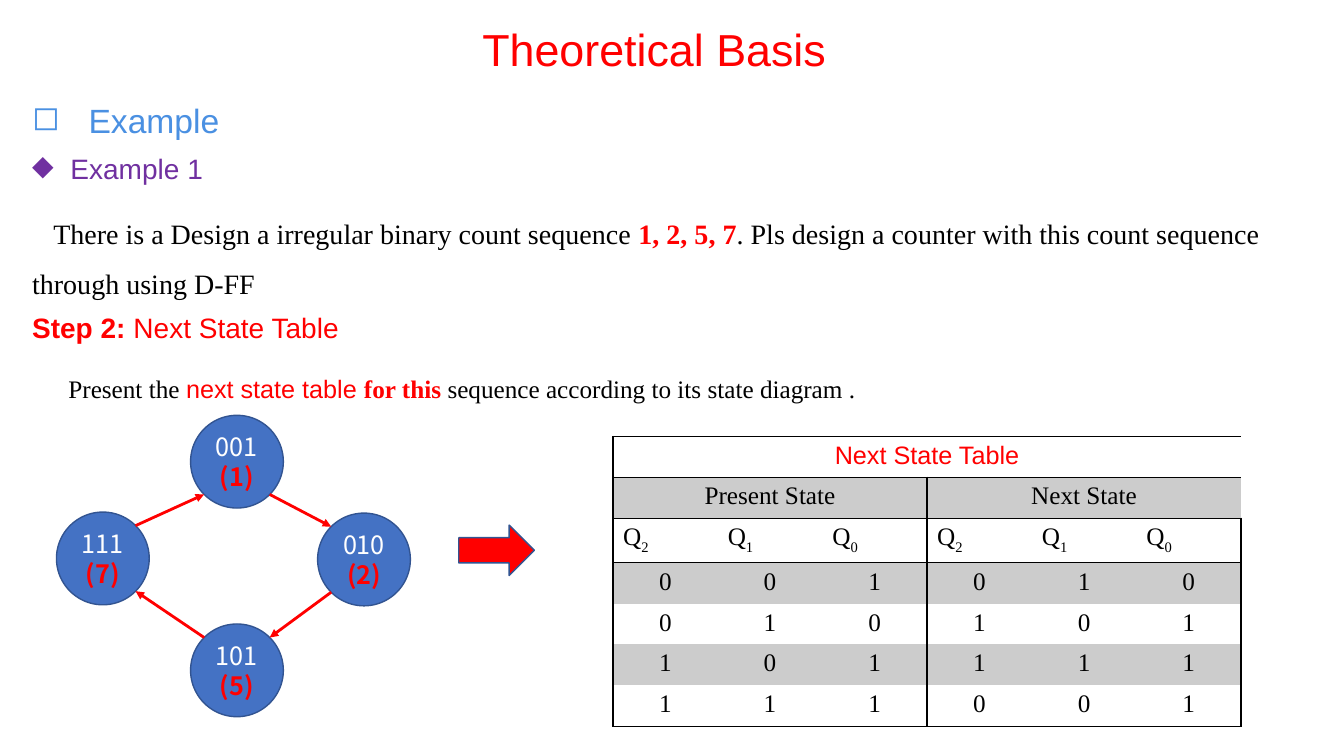
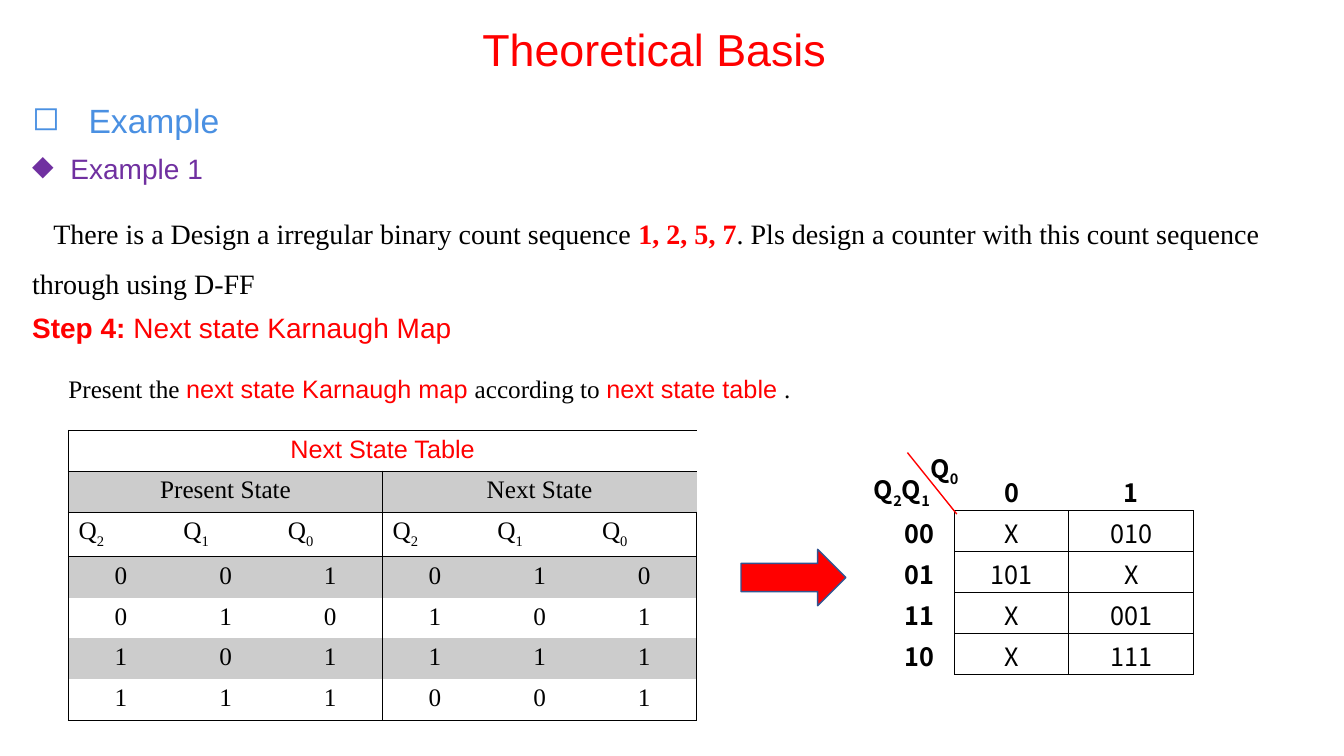
from functools import reduce

from lxml import etree
from pptx import Presentation
from pptx import util as u
from pptx.dml.color import RGBColor
from pptx.enum import shapes, text
from pptx.oxml import ns

SEQUENCE = [1, 2, 5, 7]
FOLLOWER = dict(zip(SEQUENCE, SEQUENCE[1:] + SEQUENCE[:1]))


def bits(number):
    """Return a state as three binary digits."""
    return f"{number:03b}"


def style(name, size, colour, bold=False):
    """Return the font values of one text style."""
    return {"name": name, "size": u.Pt(size), "bold": bold,
            "color.rgb": RGBColor.from_string(colour)}


def put(target, values):
    """Set dotted attributes of an object from a dict."""
    for dotted, value in values.items():
        *parents, last = dotted.split(".")
        setattr(reduce(getattr, parents, target), last, value)


def q(style_name, digits):
    """Return runs for Q variables with subscript digits."""
    return [run for digit in digits
            for run in (("Q", style_name), (digit, style_name, True))]


class Theme:
    """Colours, type sizes and paragraph formats."""
    RED, BLUE, OUTLINE = "FF0000", "4472C4", "325491"
    BLACK, WHITE, SHADE = "000000", "FFFFFF", "CCCCCC"
    SANS, SERIF, CODE = "Arial", "Times New Roman", "Noto Sans CJK SC"
    STYLES = {
        "title": style(SANS, 32, RED),
        "section": style(SANS, 24, "4A90E2"),
        "example": style(SANS, 20, "7030A0"),
        "task": style(SERIF, 20, BLACK),
        "task key": style(SERIF, 20, RED, True),
        "step": style(SANS, 20, RED),
        "step number": style(SANS, 20, RED, True),
        "text": style(SERIF, 18, BLACK),
        "text key": style(SANS, 18, RED),
        "text strong": style(SERIF, 18, RED, True),
        "state": style(CODE, 18, WHITE),
        "state number": style(CODE, 18, RED, True),
        "map": style(CODE, 18, BLACK),
        "map head": style(CODE, 18, BLACK, True),
    }
    CENTRE = {"alignment": text.PP_ALIGN.CENTER}
    LEFT = {"alignment": text.PP_ALIGN.LEFT}
    FIRST = {"line_spacing": 0.9}
    NEXT = {"line_spacing": 0.9, "space_before": u.Pt(10)}
    TASK = {"line_spacing": 1.5, "space_before": u.Pt(10)}
    NOTE = {"line_spacing": 1.5, "alignment": text.PP_ALIGN.JUSTIFY}


class Deck:
    """Draws on the current slide in grid units of a tenth of an inch."""

    def __init__(self):
        """Start a widescreen presentation."""
        self.prs = Presentation()
        put(self.prs, {"slide_width": u.Inches(13.33), "slide_height": u.Inches(7.5)})

    def grid(self, *units):
        """Turn columns and rows into lengths."""
        return [u.Inches(unit / 10) for unit in units]

    def set_text(self, frame, paragraphs):
        """Fill a text frame with (runs, format, bullet, margin, indent) paragraphs."""
        for index, (runs, layout, *extra) in enumerate(paragraphs):
            paragraph = frame.add_paragraph() if index else frame.paragraphs[0]
            put(paragraph, layout)
            if extra:
                bullet, margin, indent = extra
                props = paragraph._p.get_or_add_pPr()
                for key, units in (("marL", margin), ("indent", indent)):
                    props.set(key, str(int(u.Inches(units / 10))))
                if bullet:
                    etree.SubElement(props, ns.qn("a:buChar")).set("char", bullet)
            for words, name, *subscript in runs:
                run = paragraph.add_run()
                run.text = words
                put(run.font, Theme.STYLES[name])
                if subscript:
                    run._r.get_or_add_rPr().set("baseline", "-25000")

    def textbox(self, at, paragraphs, anchor=text.MSO_ANCHOR.TOP):
        """Add a wrapped text box."""
        frame = self.slide.shapes.add_textbox(*self.grid(*at)).text_frame
        put(frame, {"word_wrap": True, "vertical_anchor": anchor})
        self.set_text(frame, paragraphs)

    def shape(self, kind, at, fill):
        """Add a filled preset shape with the standard outline."""
        shape = self.slide.shapes.add_shape(kind, *self.grid(*at))
        shape.fill.solid()
        put(shape, {"shadow.inherit": False, "line.width": u.Pt(1),
                    "fill.fore_color.rgb": RGBColor.from_string(fill),
                    "line.color.rgb": RGBColor.from_string(Theme.OUTLINE)})
        return shape

    def block_arrow(self, *at):
        """Add a red arrow that leads to the next part."""
        self.shape(shapes.MSO_SHAPE.RIGHT_ARROW, at, Theme.RED)

    def line(self, start, end, width, arrow=False):
        """Add a red line, with an arrowhead if wanted."""
        line = self.slide.shapes.add_connector(
            shapes.MSO_CONNECTOR.STRAIGHT, *self.grid(*start, *end))
        put(line.line, {"color.rgb": RGBColor.from_string(Theme.RED),
                        "width": u.Pt(width)})
        if arrow:
            tail = etree.SubElement(line.line._get_or_add_ln(), ns.qn("a:tailEnd"))
            tail.set("type", "triangle")
        etree.SubElement(line._element.spPr, ns.qn("a:effectLst"))

    def border(self, cell, side, ruled):
        """Draw or hide one side of a cell."""
        edge = etree.SubElement(cell._tc.get_or_add_tcPr(), ns.qn(f"a:{side}"))
        edge.set("w", str(int(u.Pt(1))))
        if ruled:
            solid = etree.SubElement(edge, ns.qn("a:solidFill"))
            etree.SubElement(solid, ns.qn("a:srgbClr")).set("val", Theme.BLACK)
        else:
            etree.SubElement(edge, ns.qn("a:noFill"))

    def table(self, at, rows, vertical, horizontal, shaded=(), left=(), layout=None):
        """Add a table whose ruled edges are chosen by two tests."""
        table = self.slide.shapes.add_table(
            len(rows), len(rows[0]), *self.grid(*at)).table
        put(table, {"first_row": False, "horz_banding": False})
        for r, row in enumerate(rows):
            for c, runs in enumerate(row):
                cell = table.cell(r, c)
                put(cell, layout or {})
                for side, ruled in (("lnL", vertical(r, c)), ("lnR", vertical(r, c + 1)),
                                    ("lnT", horizontal(r, c)), ("lnB", horizontal(r + 1, c))):
                    self.border(cell, side, ruled)
                cell.fill.solid()
                cell.fill.fore_color.rgb = RGBColor.from_string(
                    Theme.SHADE if r in shaded else Theme.WHITE)
                align = Theme.LEFT if r in left else Theme.CENTRE
                self.set_text(cell.text_frame, [(runs, align)])
        return table

    def step_slide(self, number, heading, note):
        """Start a slide with the shared title, task and step texts."""
        self.slide = self.prs.slides.add_slide(self.prs.slide_layouts[6])
        self.textbox((14.9, 1.7, 100, 6.4),
                     [([("Theoretical Basis", "title")], {**Theme.CENTRE, **Theme.FIRST})],
                     text.MSO_ANCHOR.BOTTOM)
        self.textbox((2.2, 9.9, 125.5, 24.5), [
            ([("Example", "section")], Theme.FIRST, "◻", 5.6, -5.6),
            ([("Example 1", "example")], Theme.NEXT, "◆", 3.8, -3.8),
            ([("There is a Design a irregular binary count sequence ", "task"),
              (", ".join(map(str, SEQUENCE)), "task key"),
              (". Pls design a counter with this count sequence through using D-FF",
               "task")], Theme.TASK, None, 0, 2.1),
            ([(f"Step {number}: ", "step number"), (heading, "step")], Theme.NEXT)])
        self.textbox((5.8, 35, 123.8, 5), [(note, Theme.NOTE)])

    def state_diagram(self, centres, diameter):
        """Add the state circles and the arrows between them."""
        radius = diameter / 2
        for state, (x, y) in centres.items():
            circle = self.shape(shapes.MSO_SHAPE.OVAL,
                                (x - radius, y - radius, diameter, diameter), Theme.BLUE)
            frame = circle.text_frame
            put(frame, {"word_wrap": False, "vertical_anchor": text.MSO_ANCHOR.MIDDLE})
            self.set_text(frame, [([(bits(state), "state")], Theme.CENTRE),
                                  ([(f"({state})", "state number")], Theme.CENTRE)])
        reach = radius * 0.5 ** 0.5
        for state, follower in FOLLOWER.items():
            (x1, y1), (x2, y2) = centres[state], centres[follower]
            dx = reach if x2 > x1 else -reach
            dy = reach if y2 > y1 else -reach
            self.line((x1 + dx, y1 + dy), (x2 - dx, y2 - dy), 2, True)

    def state_table(self, left, top):
        """Add the table of present and next states."""
        rows = [[[("Next State Table", "text key")]] + [[]] * 5,
                [[("Present State", "text")], [], [], [("Next State", "text")], [], []],
                [q("text", digit) for digit in "210" * 2]]
        rows += [[[(bit, "text")] for bit in bits(state) + bits(follower)]
                 for state, follower in FOLLOWER.items()]
        table = self.table((left, top, 62.3, 28.4), rows,
                           lambda row, edge: edge % 3 == 0,
                           lambda edge, column: edge in (0, 1, 2, 3, 7),
                           shaded=(1, 3, 5), left=(2,))
        for row, first, last in ((0, 0, 5), (1, 0, 2), (1, 3, 5)):
            table.cell(row, first).merge(table.cell(row, last))

    def karnaugh_map(self, left, top):
        """Add the map of next states with its corner labels."""
        rows = [[[]] + [[(low, "map head")] for low in "01"]]
        for high in ("00", "01", "11", "10"):
            followers = [FOLLOWER.get(int(high + low, 2)) for low in "01"]
            rows.append([[(high, "map head")]] + [
                [(bits(follower) if follower else "X", "map")] for follower in followers])
        widths = (7, 11.3, 12.4)
        margin = u.Inches(0.01)
        table = self.table((left, top, sum(widths), 20.3), rows,
                           lambda row, edge: row > 0 and edge > 0,
                           lambda edge, column: edge > 0 and column > 0,
                           layout={"margin_top": margin, "margin_bottom": margin,
                                   "vertical_anchor": text.MSO_ANCHOR.BOTTOM})
        for column, width in zip(table.columns, self.grid(*widths)):
            column.width = width
        self.textbox((left - 2, top, 8.7, 4), [(q("map head", "21"), Theme.LEFT)])
        self.textbox((left + 3.6, top - 2.1, 6.9, 4), [(q("map head", "0"), Theme.LEFT)])
        self.line((left + 2.3, top - 1.7), (left + 7.2, top + 4.4), 1)


def main():
    """Build the two step slides."""
    deck = Deck()
    deck.step_slide(2, "Next State Table", [
        ("Present the ", "text"), ("next state table ", "text key"),
        ("for this ", "text strong"),
        ("sequence according to its state diagram .", "text")])
    deck.state_diagram({1: (23.5, 45.8), 2: (36.1, 55.5),
                        5: (23.5, 66.5), 7: (10.2, 55.4)}, 9.2)
    deck.state_table(60.8, 43.3)
    deck.block_arrow(45.5, 52.1, 7.5, 5)

    deck.step_slide(4, "Next state Karnaugh Map", [
        ("Present the ", "text"), ("next state Karnaugh map ", "text key"),
        ("according to ", "text"), ("next state table ", "text key"), (".", "text")])
    deck.karnaugh_map(87.7, 46.6)
    deck.block_arrow(73.5, 54.5, 10.4, 5.6)
    deck.state_table(6.8, 42.7)
    deck.prs.save("out.pptx")


if __name__ == "__main__":
    main()
